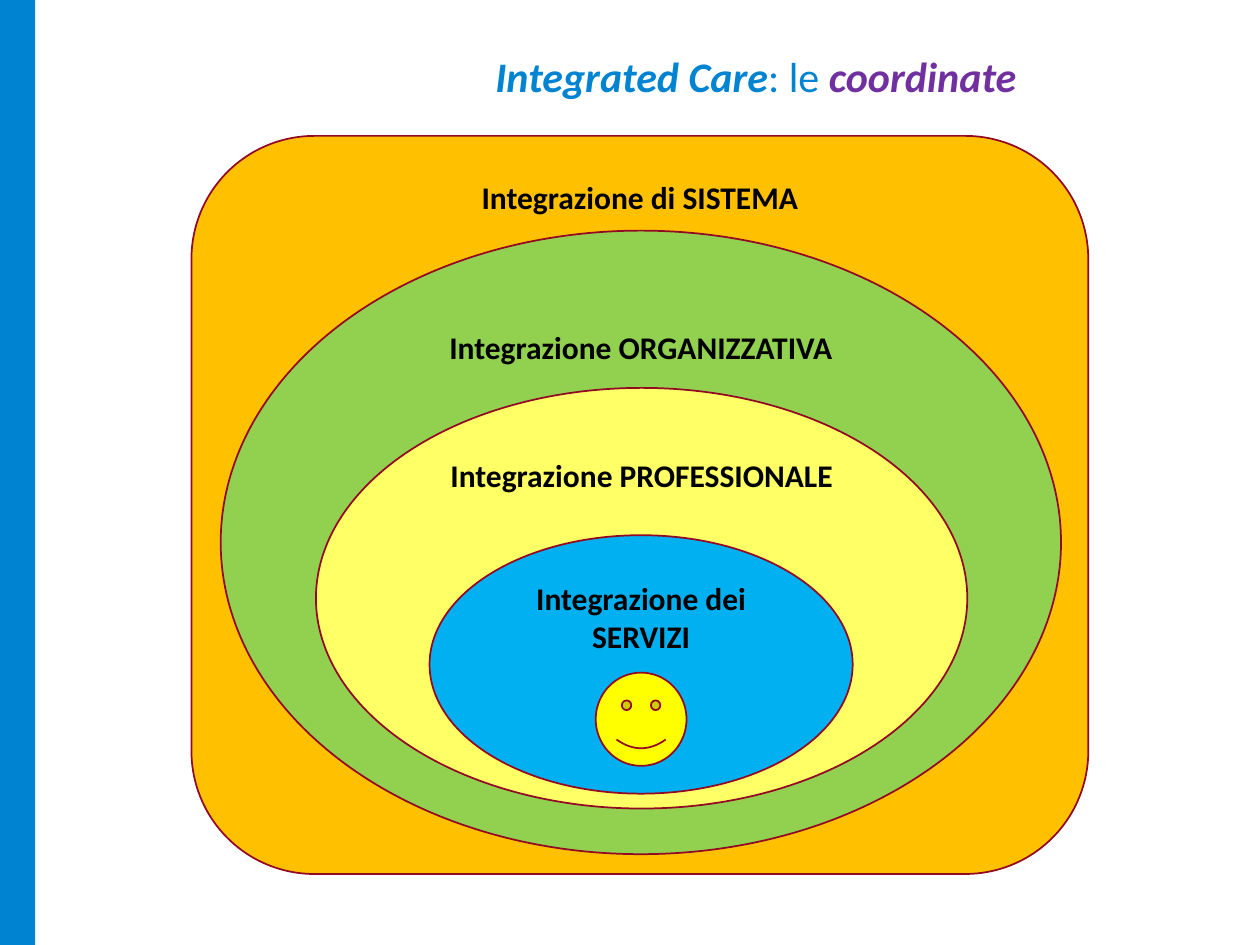
"""Build the slide on the nested levels of integrated care."""
from dataclasses import dataclass
from typing import Any

from pptx import Presentation
from pptx import util as u
from pptx.dml.color import RGBColor
from pptx.enum import shapes, text

BLUE = RGBColor(0x00, 0x84, 0xD1)
PURPLE = RGBColor(0x70, 0x30, 0xA0)
MAROON = RGBColor(0x92, 0x09, 0x24)
ORANGE = RGBColor(0xFF, 0xC0, 0x00)
GREEN = RGBColor(0x92, 0xD0, 0x50)
PALE_YELLOW = RGBColor(0xFF, 0xFF, 0x66)
SKY = RGBColor(0x00, 0xB0, 0xF0)
YELLOW = RGBColor(0xFF, 0xFF, 0x00)
BLACK = RGBColor(0x00, 0x00, 0x00)

KIND = shapes.MSO_SHAPE
LEVELS = [
    (KIND.ROUNDED_RECTANGLE, (3.86, 2.74, 18.08, 14.88), ORANGE, "Integrazione di SISTEMA"),
    (KIND.OVAL, (4.45, 4.65, 16.94, 12.57), GREEN, "Integrazione ORGANIZZATIVA"),
    (KIND.OVAL, (6.37, 7.82, 13.13, 8.48), PALE_YELLOW, "Integrazione PROFESSIONALE"),
    (KIND.OVAL, (8.66, 10.79, 8.53, 5.21), SKY, "Integrazione dei SERVIZI"),
]


def apply(target, values):
    for name, value in values.items():
        setattr(target, name, value)


@dataclass
class SlideBuilder:
    page: Any
    font: str = "Calibri"
    title_size: int = 24
    label_size: int = 18
    outline: RGBColor = MAROON

    def add_span(self, para, words, size, color, bold=True, italic=False):
        span = para.add_run()
        span.text = words
        apply(span.font, {"name": self.font, "size": u.Pt(size), "bold": bold, "italic": italic})
        span.font.color.rgb = color

    def title(self, place, spans):
        box = self.page.shapes.title
        apply(box, dict(zip(("left", "top", "width", "height"), map(u.Cm, place))))
        apply(box.text_frame, {
            "word_wrap": True,
            "vertical_anchor": text.MSO_ANCHOR.TOP,
            "auto_size": text.MSO_AUTO_SIZE.NONE,
        })
        para = box.text_frame.paragraphs[0]
        para.alignment = text.PP_ALIGN.LEFT
        for words, color, strong in spans:
            self.add_span(para, words, self.title_size, color, strong, strong)

    def shape(self, kind, place, fill, outlined=True):
        box = self.page.shapes.add_shape(kind, *map(u.Cm, place))
        box.shadow.inherit = False
        box.fill.solid()
        box.fill.fore_color.rgb = fill
        if outlined:
            box.line.color.rgb = self.outline
            box.line.width = u.Pt(1)
        else:
            box.line.fill.background()
        return box

    def level(self, kind, place, fill, label):
        frame = self.shape(kind, place, fill).text_frame
        apply(frame, {"word_wrap": True, "vertical_anchor": text.MSO_ANCHOR.TOP})
        para = frame.paragraphs[0]
        para.alignment = text.PP_ALIGN.CENTER
        self.add_span(para, label, self.label_size, BLACK)


def main():
    deck = Presentation()
    apply(deck, {"slide_width": u.Cm(25.4), "slide_height": u.Cm(19.05)})
    builder = SlideBuilder(deck.slides.add_slide(deck.slide_layouts[5]))
    builder.shape(KIND.RECTANGLE, (0, 0, 0.71, 19.05), BLUE, outlined=False)
    builder.title((9.73, 0.89, 14.6, 1.27), [
        ("Integrated Care", BLUE, True),
        (": le ", BLUE, False),
        ("coordinate", PURPLE, True),
    ])
    for level in LEVELS:
        builder.level(*level)
    builder.shape(KIND.SMILEY_FACE, (12.01, 13.56, 1.83, 1.88), YELLOW)
    deck.save("out.pptx")


if __name__ == "__main__":
    main()
